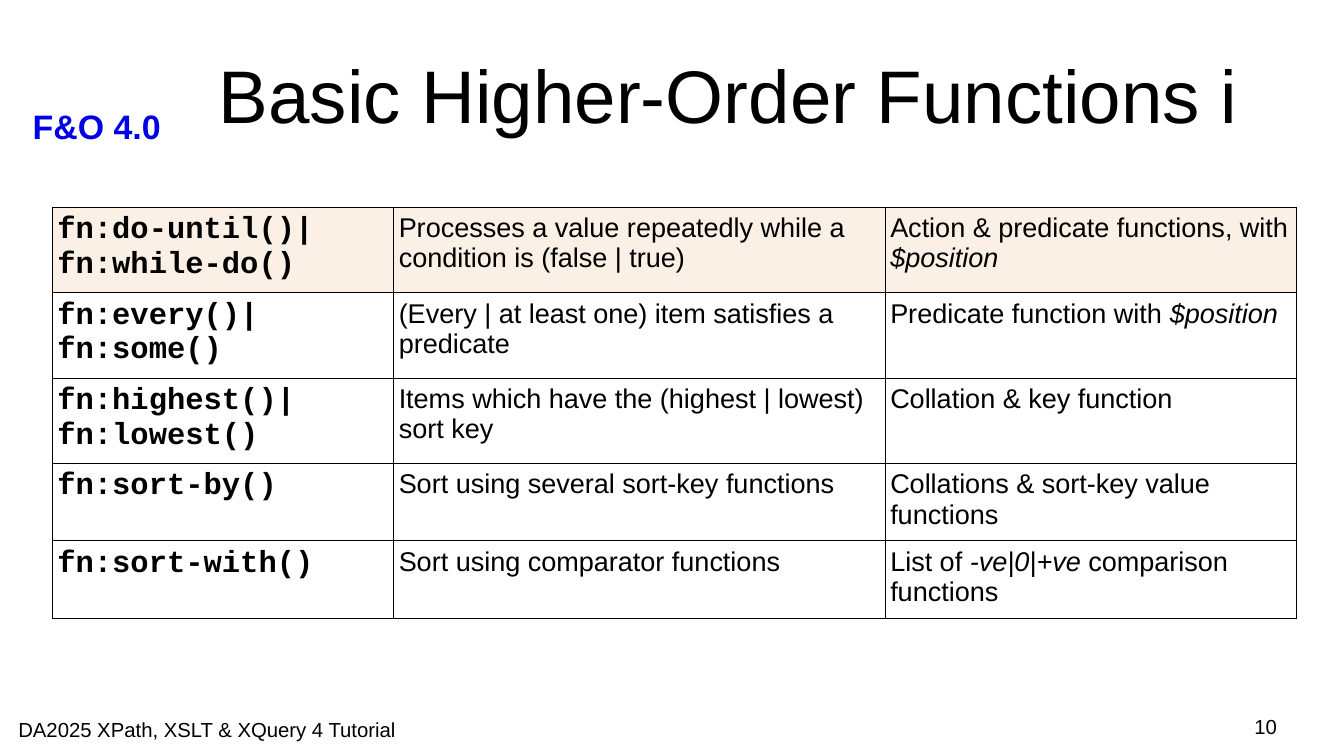
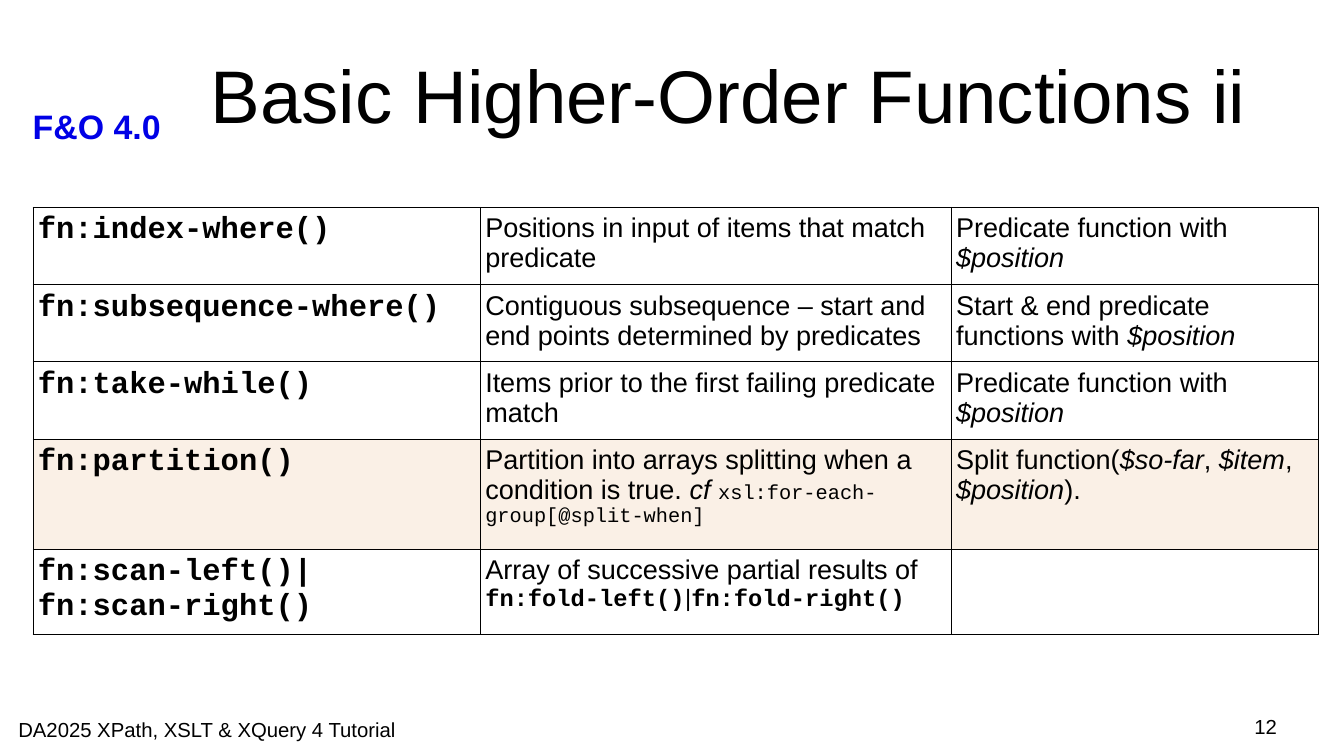
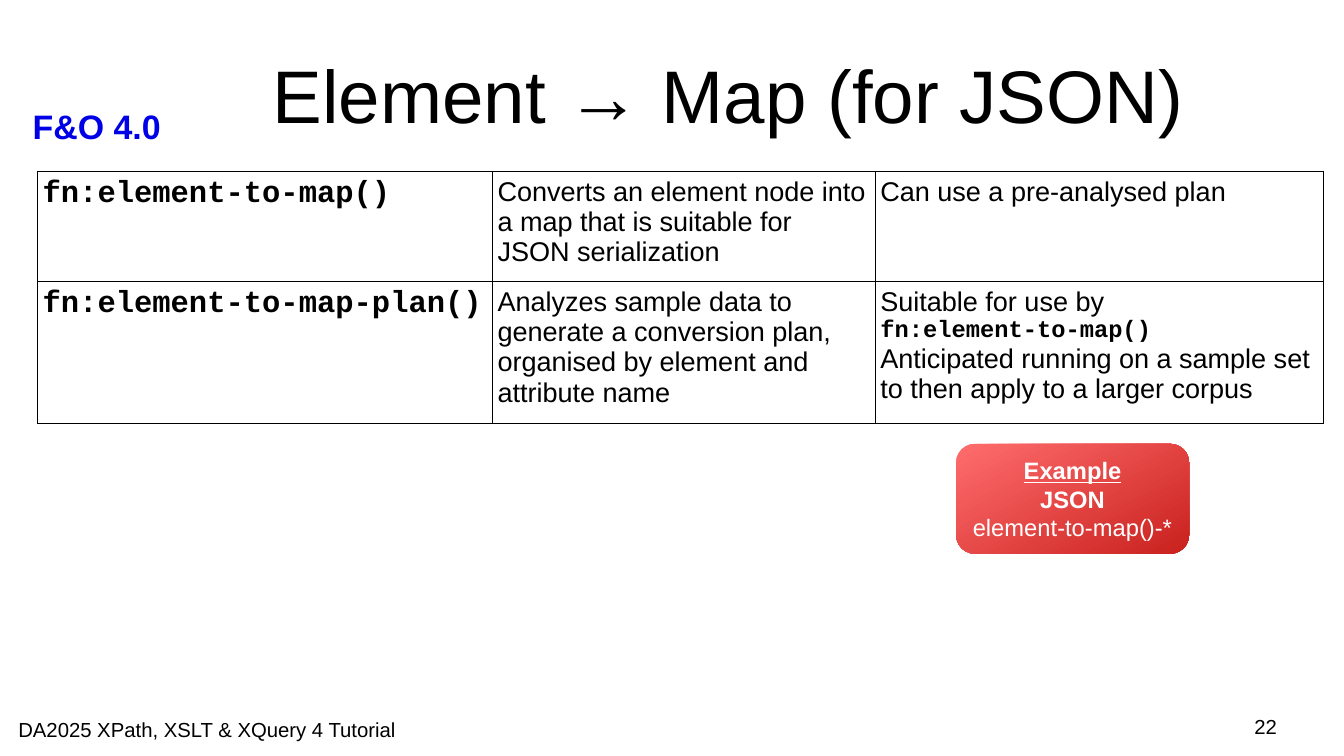
from lxml import etree
from pptx import Presentation
from pptx.dml.color import RGBColor
from pptx.enum.shapes import MSO_SHAPE
from pptx.enum.text import MSO_ANCHOR, MSO_AUTO_SIZE, PP_ALIGN
from pptx.oxml.ns import qn
from pptx.util import Inches, Pt

LEFT, CENTER, RIGHT = PP_ALIGN.LEFT, PP_ALIGN.CENTER, PP_ALIGN.RIGHT
TOP, MIDDLE = MSO_ANCHOR.TOP, MSO_ANCHOR.MIDDLE
NO_FIT = MSO_AUTO_SIZE.NONE
ROUNDED = MSO_SHAPE.ROUNDED_RECTANGLE

BLACK = RGBColor(0x00, 0x00, 0x00)
WHITE = RGBColor(0xFF, 0xFF, 0xFF)
BLUE = RGBColor(0x00, 0x00, 0xE6)
LINEN = RGBColor(0xFA, 0xF0, 0xE6)
LIGHT_RED = RGBColor(0xFF, 0x6D, 0x6D)
DARK_RED = RGBColor(0xC9, 0x21, 0x1E)

# Text styles: font, size, colour, bold, italic, underline
SANS, MONO = "Arial", "Courier New"
TITLE = (SANS, 44, BLACK, False, False, False)
LABEL = (SANS, 20, BLUE, True, False, False)
FOOTER = (SANS, 12, BLACK, False, False, False)
NAME = (MONO, 18, BLACK, True, False, False)
PLAIN = (SANS, 16, BLACK, False, False, False)
ITALIC = (SANS, 16, BLACK, False, True, False)
CODE = (MONO, 12, BLACK, False, False, False)
BOLD_CODE = (MONO, 14, BLACK, True, False, False)
BAR = (SANS, 14, BLACK, False, False, False)
LINK = (SANS, 14, WHITE, True, False, True)
BUTTON_BOLD = (SANS, 14, WHITE, True, False, False)
BUTTON = (SANS, 14, WHITE, False, False, False)

# The grid has 100 columns and 100 rows
deck = Presentation()
deck.slide_width, deck.slide_height = Inches(11.02), Inches(6.2)
COLUMN, ROW = deck.slide_width / 100, deck.slide_height / 100

# Table row heights, in grid rows
TWO_LINES, TWO_NAMES, THREE_LINES, FOUR_LINES = 10.18, 11.29, 14.55, 18.77
BORDER = Pt(0.57)


def place(left, top, width, height):
    """Turn grid units into lengths."""
    return (round(left * COLUMN), round(top * ROW),
            round(width * COLUMN), round(height * ROW))


def write(frame, lines, align=LEFT, anchor=TOP, margins=(0, 0)):
    """Write one paragraph per line; a line is a list of (text, style)."""
    frame.margin_left = frame.margin_right = Inches(margins[0])
    frame.margin_top = frame.margin_bottom = Inches(margins[1])
    frame.vertical_anchor = anchor
    for number, line in enumerate(lines):
        text_frame = getattr(frame, "text_frame", frame)
        para = text_frame.add_paragraph() if number else text_frame.paragraphs[0]
        para.alignment = align
        for text, (face, size, colour, bold, italic, underline) in line:
            span = para.add_run()
            span.text = text
            font = span.font
            font.name, font.size, font.color.rgb = face, Pt(size), colour
            font.bold, font.italic, font.underline = bold, italic, underline


# Each table row: height, fill, function names, description lines, note lines
basic_one = [
    (TWO_NAMES, LINEN, ["fn:do-until()|", "fn:while-do()"],
     [[("Processes a value repeatedly while a condition is (false | true)", PLAIN)]],
     [[("Action & predicate functions, with ", PLAIN), ("$position", ITALIC)]]),
    (TWO_NAMES, WHITE, ["fn:every()|", "fn:some()"],
     [[("(Every | at least one) item satisfies a predicate", PLAIN)]],
     [[("Predicate function with ", PLAIN), ("$position", ITALIC)]]),
    (TWO_NAMES, WHITE, ["fn:highest()|", "fn:lowest()"],
     [[("Items which have the (highest | lowest) sort key", PLAIN)]],
     [[("Collation & key function", PLAIN)]]),
    (TWO_LINES, WHITE, ["fn:sort-by()"],
     [[("Sort using several sort-key functions", PLAIN)]],
     [[("Collations & sort-key value functions", PLAIN)]]),
    (TWO_LINES, WHITE, ["fn:sort-with()"],
     [[("Sort using comparator functions", PLAIN)]],
     [[("List of ", PLAIN), ("-ve|0|+ve", ITALIC), (" comparison functions", PLAIN)]]),
]
basic_two = [
    (TWO_LINES, WHITE, ["fn:index-where()"],
     [[("Positions in input of items that match predicate", PLAIN)]],
     [[("Predicate function with ", PLAIN), ("$position", ITALIC)]]),
    (TWO_LINES, WHITE, ["fn:subsequence-where()"],
     [[("Contiguous subsequence – start and end points determined by predicates", PLAIN)]],
     [[("Start & end predicate functions with ", PLAIN), ("$position", ITALIC)]]),
    (TWO_LINES, WHITE, ["fn:take-while()"],
     [[("Items prior to the first failing predicate match", PLAIN)]],
     [[("Predicate function with ", PLAIN), ("$position", ITALIC)]]),
    (THREE_LINES, LINEN, ["fn:partition()"],
     [[("Partition into arrays splitting when a condition is true. ", PLAIN),
       ("cf ", ITALIC), ("xsl:for-each-group[@split-when]", CODE)]],
     [[("Split function(", PLAIN), ("$so-far", ITALIC), (",", PLAIN), (" $item", ITALIC),
       (", ", PLAIN), ("$position", ITALIC), (").", PLAIN)]]),
    (TWO_NAMES, WHITE, ["fn:scan-left()|", "fn:scan-right()"],
     [[("Array of successive partial results of ", PLAIN), ("fn:fold-left()", BOLD_CODE),
       ("|", BAR), ("fn:fold-right()", BOLD_CODE)]],
     []),
]
element_map = [
    (THREE_LINES, WHITE, ["fn:element-to-map()"],
     [[("Converts an element node into a map that is suitable for JSON serialization", PLAIN)]],
     [[("Can use a pre-analysed plan", PLAIN)]]),
    (FOUR_LINES, WHITE, ["fn:element-to-map-plan()"],
     [[("Analyzes sample data to generate a conversion plan, organised by element and "
        "attribute name", PLAIN)]],
     [[("Suitable for use by", PLAIN)], [("fn:element-to-map()", BOLD_CODE)],
      [("Anticipated running on a sample set to then apply to a larger corpus", PLAIN)]]),
]

# Each page: title, number, table left and top, column widths, table rows
pages = [
    ("Basic Higher-Order Functions i", "10", 3.9, 27.42, (25.41, 36.57, 30.58), basic_one),
    ("Basic Higher-Order Functions ii", "12", 2.45, 27.42, (33.3, 35.03, 27.31), basic_two),
    ("Element → Map (for JSON)", "22", 2.81, 22.65, (33.85, 28.49, 33.3), element_map),
]

for title, page_number, left, top, widths, rows in pages:
    page = deck.slides.add_slide(deck.slide_layouts[5])

    # Title
    heading = page.shapes.title
    heading.left, heading.top, heading.width, heading.height = place(13.43, 4.03, 81.58, 16.77)
    heading.text_frame.auto_size = NO_FIT
    write(heading.text_frame, [[(title, TITLE)]], CENTER, MIDDLE)

    # Label, footer and page number
    for text, style, area, align, margins in [
        ("F&O 4.0", LABEL, (1.54, 13.23, 12.52, 6.61), LEFT, (0.1, 0.05)),
        ("DA2025 XPath, XSLT & XQuery 4 Tutorial", FOOTER,
         (1.36, 94.84, 31.67, 3.06), LEFT, (0, 0)),
        (page_number, FOOTER, (71.69, 94.52, 23.32, 3.87), RIGHT, (0, 0)),
    ]:
        box = page.shapes.add_textbox(*place(*area))
        box.text_frame.word_wrap = True
        write(box.text_frame, [[(text, style)]], align, margins=margins)

    # Table
    area = place(left, top, sum(widths), sum(row[0] for row in rows))
    table = page.shapes.add_table(len(rows), len(widths), *area).table
    table.first_row = table.horz_banding = False
    for column, width in zip(table.columns, widths):
        column.width = round(width * COLUMN)
    for row_index, (height, fill, names, description, note) in enumerate(rows):
        table.rows[row_index].height = round(height * ROW)
        name_lines = [[(name, NAME)] for name in names]
        for column_index, lines in enumerate((name_lines, description, note)):
            cell = table.cell(row_index, column_index)
            write(cell, lines, margins=(0.04, 0.05))
            cell.fill.solid()
            cell.fill.fore_color.rgb = fill
            # Borders go before the fill
            properties = cell._tc.get_or_add_tcPr()
            for position, side in enumerate(("a:lnL", "a:lnR", "a:lnT", "a:lnB")):
                line = etree.Element(qn(side), w=str(BORDER))
                solid = etree.SubElement(line, qn("a:solidFill"))
                etree.SubElement(solid, qn("a:srgbClr"), val=str(BLACK))
                properties.insert(position, line)

# Example button on the last page
button = page.shapes.add_shape(ROUNDED, *place(71.14, 58.71, 17.33, 14.52))
button.shadow.inherit = False
button.adjustments[0] = 0.17
button.line.fill.background()
button.fill.gradient()
button.fill.gradient_angle = 300
for stop, colour in zip(button.fill.gradient_stops, (LIGHT_RED, DARK_RED)):
    stop.color.rgb = colour
button.text_frame.word_wrap = False
write(button.text_frame,
      [[("Example", LINK)], [("JSON", BUTTON_BOLD)], [("element-to-map()-*", BUTTON)]],
      CENTER, MIDDLE, (0.08, 0.08))

deck.save("out.pptx")
